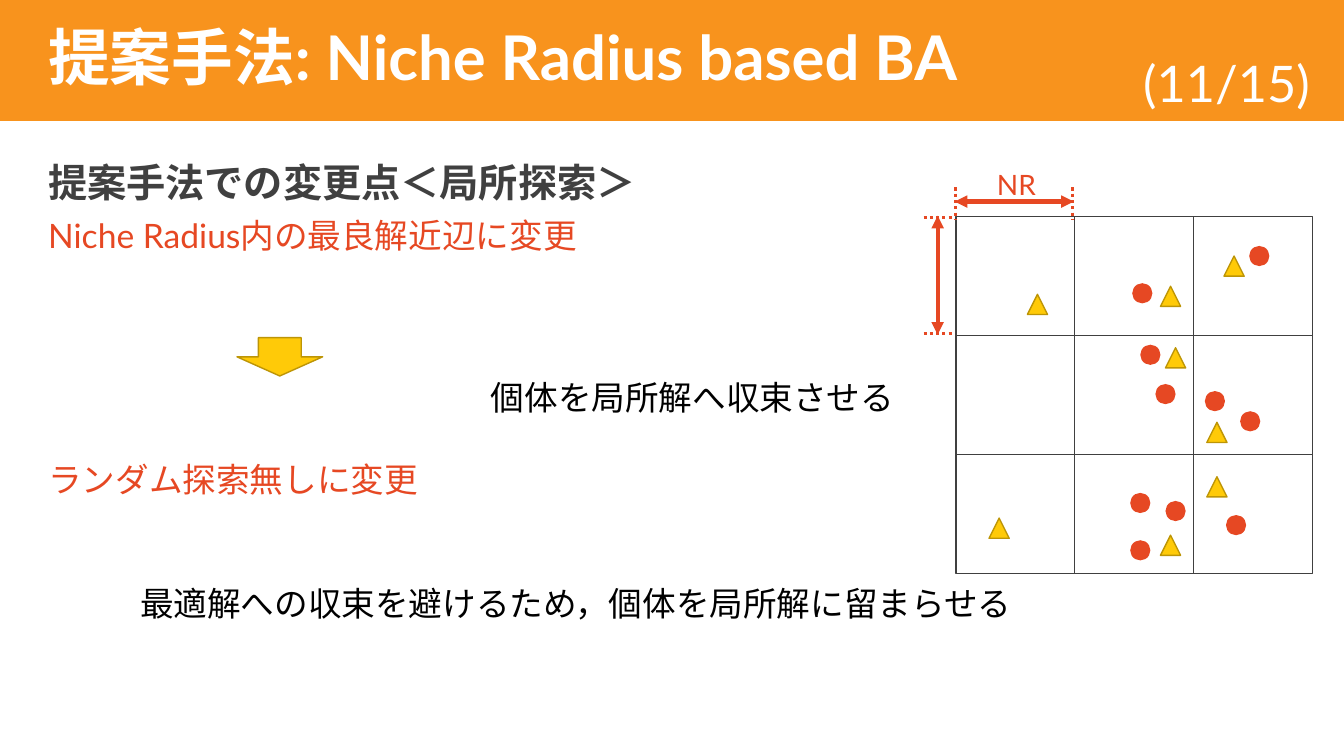
from dataclasses import dataclass
from pptx import Presentation
from pptx.dml.color import RGBColor
from pptx.enum.dml import MSO_LINE
from pptx.enum.shapes import MSO_CONNECTOR, MSO_SHAPE
from pptx.enum.text import MSO_ANCHOR, PP_ALIGN
from pptx.oxml.ns import qn
from pptx.util import Inches, Pt
from lxml.etree import SubElement


@dataclass
class Theme:
    font: str = "Lato"
    orange: str = "F8931D"
    red: str = "E64823"
    gold: str = "FFCA08"
    edge: str = "BD9506"
    gray: str = "404040"
    white: str = "FFFFFF"
    black: str = "000000"
    title: int = 44
    page: int = 36
    head: int = 28
    body: int = 24
    label: int = 20


def add_text(box, lines):
    """Add a text box; each line is (text, size, color, bold, space before)."""
    frame = slide.shapes.add_textbox(*map(Inches, box)).text_frame
    frame.word_wrap = True
    frame.text = "\n".join(line[0] for line in lines)
    for para, (_, size, color, bold, gap) in zip(frame.paragraphs, lines):
        para.space_before = Pt(gap)
        font = para.runs[0].font
        font.name, font.size, font.bold = theme.font, Pt(size), bold
        font.color.rgb = RGBColor.from_string(color)
    return frame


def add_shape(kind, box, fill=None, line=None):
    shape = slide.shapes.add_shape(kind, *map(Inches, box))
    shape.shadow.inherit = False
    if fill:
        shape.fill.solid()
        shape.fill.fore_color.rgb = RGBColor.from_string(fill)
    else:
        shape.fill.background()
    if line:
        shape.line.color.rgb = RGBColor.from_string(line)
        shape.line.width = Pt(1)
    else:
        shape.line.fill.background()


theme = Theme()
deck = Presentation()
deck.slide_width, deck.slide_height = Inches(13.33), Inches(7.5)
slide = deck.slides.add_slide(deck.slide_layouts[6])

# Header band
add_shape(MSO_SHAPE.RECTANGLE, (0, 0, 13.33, 1.2), theme.orange)
title = add_text((0.38, 0, 11.5, 1.2), [
    ("提案手法: Niche Radius based BA", theme.title, theme.white, True, 0)])
title.vertical_anchor = MSO_ANCHOR.MIDDLE
title.paragraphs[0].line_spacing = 0.9
page = add_text((10.09, 0.46, 3, 0.72), [
    ("(11/15)", theme.page, theme.white, False, 0)])
page.vertical_anchor = MSO_ANCHOR.MIDDLE
page.paragraphs[0].alignment = PP_ALIGN.RIGHT

# Changes and their effects
body = add_text((0.38, 1.57, 12.48, 5.23), [
    ("提案手法での変更点＜局所探索＞", theme.head, theme.gray, True, 0),
    ("Niche Radius内の最良解近辺に変更", theme.body, theme.red, False, 10),
    ("ランダム探索無しに変更", theme.body, theme.red, False, 148)])
for para in body.paragraphs:
    para.line_spacing = 0.9
add_shape(MSO_SHAPE.DOWN_ARROW, (2.35, 3.35, 0.85, 0.38), theme.gold, theme.edge)
for box, text, size, color in [
    ((4.77, 3.69, 4.64, 0.5), "個体を局所解へ収束させる", theme.body, theme.black),
    ((1.29, 5.73, 8.99, 0.5), "最適解への収束を避けるため，個体を局所解に留まらせる",
     theme.body, theme.black),
    ((9.79, 1.61, 0.63, 0.44), "NR", theme.label, theme.red),
]:
    add_text(box, [(text, size, color, False, 0)])

# Niche grid
cell, left, top = 1.18, 9.48, 2.15
for col in range(3):
    for row in range(3):
        add_shape(MSO_SHAPE.RECTANGLE,
                  (left + col * cell, top + row * cell, cell, cell), line=theme.gray)

# Individuals and best solutions
mark = 0.2
dots = [(12.39, 2.44), (12.3, 4.08), (11.23, 2.81), (11.95, 3.88), (11.46, 3.81),
        (11.56, 4.97), (11.21, 5.36), (11.21, 4.89), (11.31, 3.42), (12.16, 5.11)]
peaks = [(10.19, 2.92), (9.81, 5.14), (11.51, 5.31), (11.51, 2.84),
         (11.56, 3.45), (11.97, 4.19), (11.97, 4.73), (12.14, 2.54)]
for x, y in dots:
    add_shape(MSO_SHAPE.OVAL, (x, y, mark, mark), theme.red)
for x, y in peaks:
    add_shape(MSO_SHAPE.ISOSCELES_TRIANGLE, (x, y, mark, mark), theme.gold, theme.edge)

# Radius measures: arrows between dotted guides
for ends, arrow in [
    ((9.47, 2, 10.65, 2), True),
    ((9.48, 1.86, 9.48, 2.18), False),
    ((10.64, 1.86, 10.64, 2.18), False),
    ((9.3, 3.32, 9.3, 2.14), True),
    ((9.16, 3.31, 9.47, 3.31), False),
    ((9.16, 2.16, 9.47, 2.16), False),
]:
    rule = slide.shapes.add_connector(MSO_CONNECTOR.STRAIGHT, *map(Inches, ends))
    rule.line.color.rgb = RGBColor.from_string(theme.red)
    rule.line.width = Pt(3 if arrow else 2.25)
    if arrow:
        for tip in ("a:headEnd", "a:tailEnd"):
            SubElement(rule.line._get_or_add_ln(), qn(tip), type="triangle")
    else:
        rule.line.dash_style = MSO_LINE.ROUND_DOT
    SubElement(rule._element.spPr, qn("a:effectLst"))

deck.save("out.pptx")
